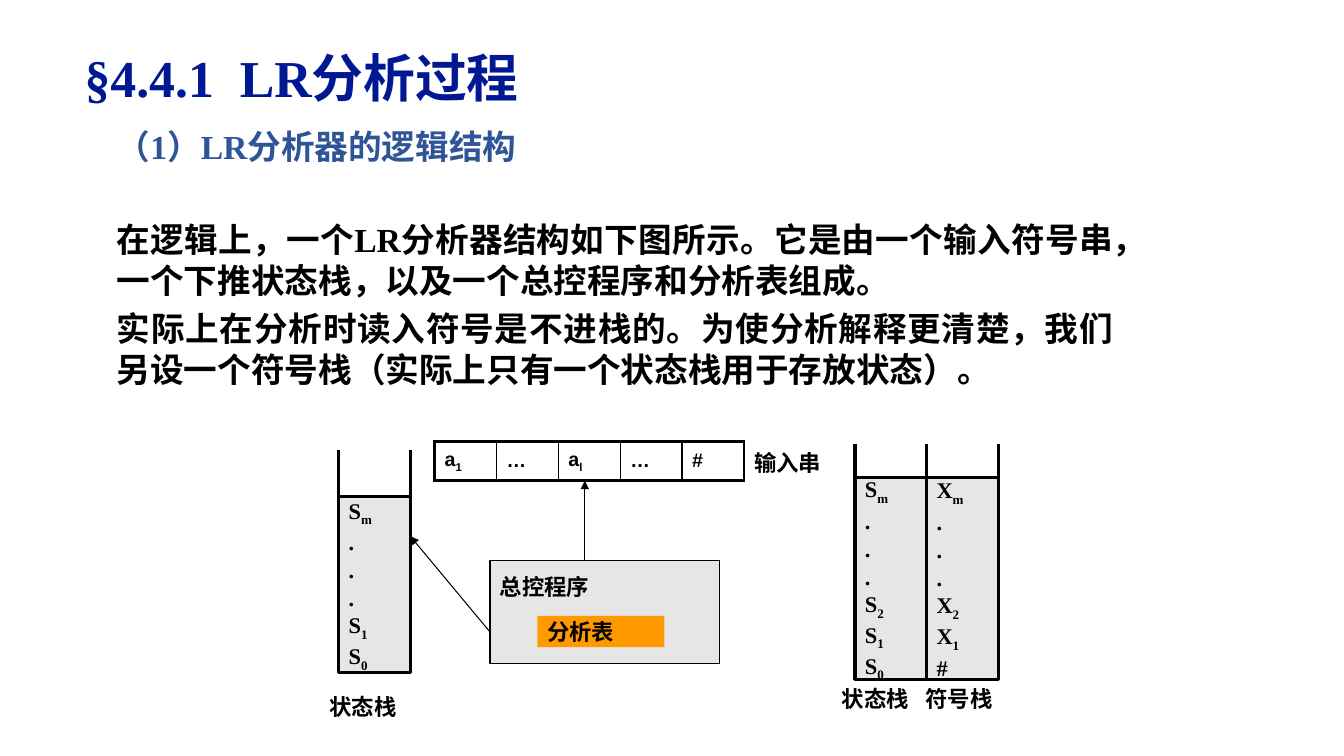
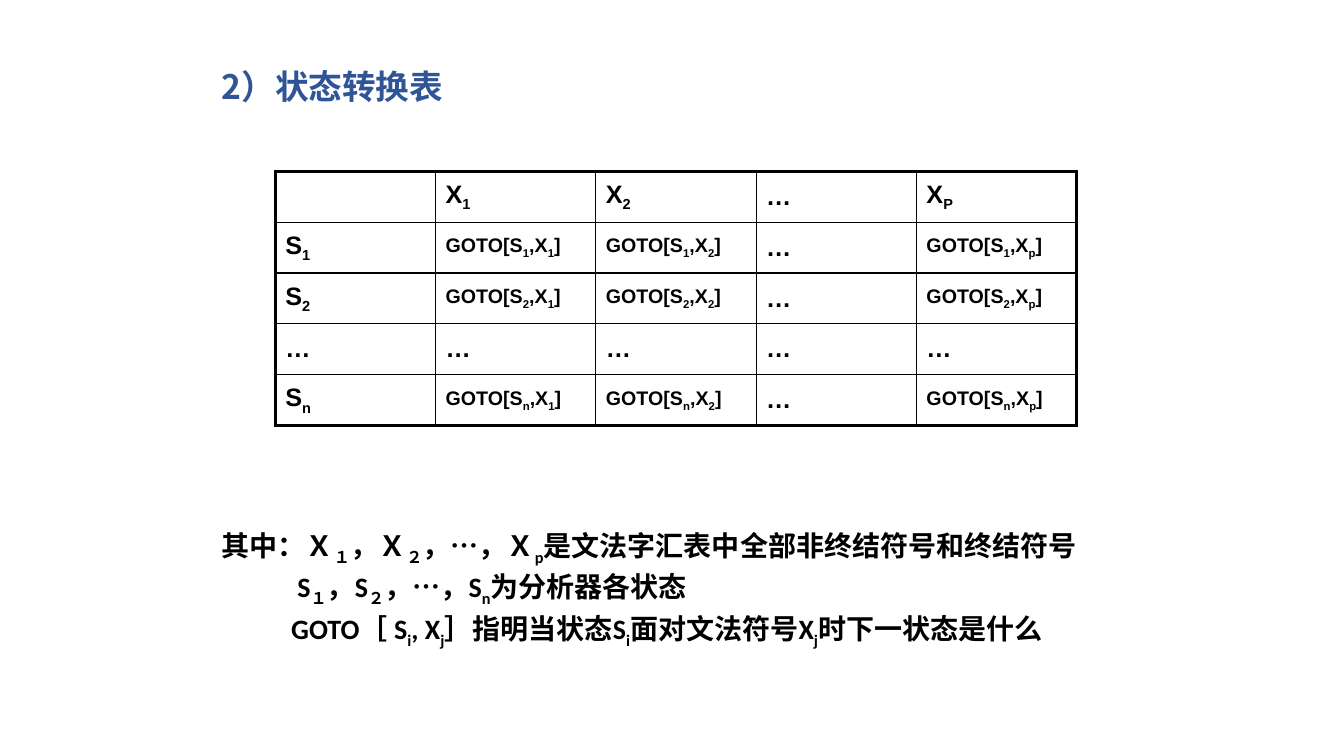
from dataclasses import dataclass

from lxml.etree import SubElement
from pptx import Presentation
from pptx.dml.color import RGBColor
from pptx.enum.shapes import MSO_CONNECTOR, MSO_SHAPE
from pptx.enum.text import MSO_ANCHOR, PP_ALIGN
from pptx.oxml.ns import qn
from pptx.util import Inches, Pt


@dataclass(frozen=True)
class Theme:
    navy: str = "011893"
    blue: str = "2F5597"
    black: str = "000000"
    white: str = "FFFFFF"
    grey: str = "E7E6E6"
    amber: str = "FF9900"
    serif: str = "Times New Roman"
    sans: str = "Arial"
    body: str = "Calibri"
    asian: str = "Noto Sans CJK SC"
    title: int = 37
    head: int = 24
    note: int = 20
    cell: int = 18
    label: int = 16
    small: int = 14
    thick: float = 2.25
    thin: float = 1
    hair: float = 0.75


T = Theme()


# Text: pieces between ~ marks are subscripts
def add_runs(para, text, size, font=T.serif, color=T.black):
    for i, piece in enumerate(text.split("~")):
        if not piece:
            continue
        run = para.add_run()
        run.text = piece
        run.font.size = Pt(size)
        run.font.bold = True
        run.font.color.rgb = RGBColor.from_string(color)
        run.font.name = font
        props = run._r.get_or_add_rPr()
        if font != T.sans:
            SubElement(props, qn("a:ea")).set("typeface", T.asian)
        if i % 2:
            props.set("baseline", "-25000")


def set_pad(frame, side, top):
    frame.margin_left = frame.margin_right = Inches(side)
    frame.margin_top = frame.margin_bottom = Inches(top)


def add_text(slide, box, lines, size, font=T.serif, color=T.black,
             pitch=None, gap=0, align=PP_ALIGN.LEFT):
    shape = slide.shapes.add_textbox(*map(Inches, box))
    frame = shape.text_frame
    frame.word_wrap = True
    for i, line in enumerate(lines):
        para = frame.paragraphs[0] if i == 0 else frame.add_paragraph()
        para.alignment = align
        para.line_spacing = Pt(pitch or size * 1.2)
        para.space_before = Pt(gap if i else 0)
        add_runs(para, line, size, font, color)
    return frame


def add_box(slide, box, fill, width=0):
    shape = slide.shapes.add_shape(MSO_SHAPE.RECTANGLE, *map(Inches, box))
    shape.shadow.inherit = False
    shape.fill.solid()
    shape.fill.fore_color.rgb = RGBColor.from_string(fill)
    if width:
        shape.line.color.rgb = RGBColor.from_string(T.black)
        shape.line.width = Pt(width)
    else:
        shape.line.fill.background()
    return shape.text_frame


def add_line(slide, start, end, width, arrow=False):
    line = slide.shapes.add_connector(
        MSO_CONNECTOR.STRAIGHT, *map(Inches, (*start, *end)))
    line.line.color.rgb = RGBColor.from_string(T.black)
    line.line.width = Pt(width)
    props = line._element.spPr
    if arrow:
        SubElement(props.find(qn("a:ln")), qn("a:tailEnd")).set("type", "triangle")
    SubElement(props, qn("a:effectLst"))


# Tables: thick frame, thin inner rules
def set_edge(props, side, width):
    edge = SubElement(props, qn("a:" + side), w=str(Pt(width)))
    fill = SubElement(edge, qn("a:solidFill"))
    SubElement(fill, qn("a:srgbClr"), val=T.black)


def add_grid(slide, box, rows, size, inner):
    count, wide = len(rows), len(rows[0])
    table = slide.shapes.add_table(count, wide, *map(Inches, box)).table
    table.first_row = table.horz_banding = False
    for r, row in enumerate(rows):
        for c, text in enumerate(row):
            cell = table.cell(r, c)
            cell.vertical_anchor = MSO_ANCHOR.MIDDLE
            props = cell._tc.get_or_add_tcPr()
            outer = (("lnL", c == 0), ("lnR", c == wide - 1),
                     ("lnT", r == 0), ("lnB", r == count - 1))
            for side, rim in outer:
                set_edge(props, side, T.thick if rim else T.thin)
            cell.fill.solid()
            cell.fill.fore_color.rgb = RGBColor.from_string(T.white)
            pt = inner if text.startswith("GOTO") else size
            add_runs(cell.text_frame.paragraphs[0], text, pt, T.sans)


# Open-topped stack
def add_stack(slide, box, rise, lines):
    left, top, width, height = box
    frame = add_box(slide, box, T.grey, T.thick)
    set_pad(frame, 0.1, 0)
    frame.vertical_anchor = MSO_ANCHOR.MIDDLE
    for i, line in enumerate(lines):
        para = frame.paragraphs[0] if i == 0 else frame.add_paragraph()
        para.alignment = PP_ALIGN.LEFT
        para.line_spacing = Pt(22 if "~" in line else 20)
        add_runs(para, line, T.label)
    for x in (left, left + width):
        add_line(slide, (x, top + 0.16), (x, top - rise), T.thick)


# Control program with its table
def add_control(slide, box):
    left, top, width, height = box
    parts = (
        ("总控程序", box, T.grey, T.hair, 0.13, MSO_ANCHOR.TOP),
        ("分析表", (left + 0.47, top + 0.55, 1.26, 0.31), T.amber, 0, 0,
         MSO_ANCHOR.MIDDLE),
    )
    for text, area, fill, width, pad, anchor in parts:
        frame = add_box(slide, area, fill, width)
        set_pad(frame, 0.1, pad)
        frame.vertical_anchor = anchor
        para = frame.paragraphs[0]
        para.alignment = PP_ALIGN.LEFT
        para.line_spacing = Pt(T.label * 1.2)
        add_runs(para, text, T.label)


# Analyser diagram
def add_diagram(slide, left, top):
    dots = [".", ".", "."]
    wide = 0.71
    add_stack(slide, (left, top + 0.55, wide, 1.74), 0.47,
              ["S~m~", *dots, "S~1~", "S~0~"])
    add_grid(slide, (left + 0.95, top, 3.07, 0.39),
             [["a~1~", "…", "a~l~", "…", "#"]], T.small, T.small)
    pair = left + 5.12
    for i, (name, last) in enumerate((("S", "S~0~"), ("X", "#"))):
        lines = [f"{name}~m~", *dots, f"{name}~2~", f"{name}~1~", last]
        add_stack(slide, (pair + i * wide, top + 0.36, wide, 2), 0.34, lines)

    ctrl = (left + 1.5, top + 1.18, 2.28, 1.02)
    add_control(slide, ctrl)
    add_line(slide, (ctrl[0], ctrl[1] + 0.71), (left + wide, top + 0.94),
             T.hair, True)
    add_line(slide, (left + 2.44, ctrl[1]), (left + 2.44, top + 0.39),
             T.hair, True)

    labels = (("状态栈", -0.19, 2.45), ("状态栈", 4.89, 2.37),
              ("符号栈", 5.72, 2.37), ("输入串", 4.02, 0.03))
    for text, x, y in labels:
        add_text(slide, (left + x, top + y, 1.08, 0.37), [text], T.label)


def add_process(slide):
    # Title and heading
    frame = add_text(slide, (0.74, 0.4, 9.9, 0.7), ["§4.4.1\tLR分析过程"],
                     T.title, color=T.navy)
    stops = SubElement(frame.paragraphs[0]._p.get_or_add_pPr(), qn("a:tabLst"))
    SubElement(stops, qn("a:tab"), pos=str(Inches(1.54)), algn="l")
    add_text(slide, (1.06, 1.2, 10.08, 0.5), ["（1）LR分析器的逻辑结构"],
             T.head, color=T.blue)
    # Explanation
    add_text(slide, (1.06, 2.12, 10.08, 1.81), [
        "在逻辑上，一个LR分析器结构如下图所示。它是由一个输入符号串，"
        "一个下推状态栈，以及一个总控程序和分析表组成。",
        "实际上在分析时读入符号是不进栈的。为使分析解释更清楚，"
        "我们另设一个符号栈（实际上只有一个状态栈用于存放状态）。",
    ], T.head, pitch=29.2, gap=4.8, align=PP_ALIGN.JUSTIFY)
    add_diagram(slide, 3.36, 4.38)


def add_states(slide):
    add_text(slide, (2.1, 0.6, 9.08, 0.5), ["2）状态转换表"],
             T.head, T.asian, T.blue)
    # Transition table
    rows = [["", "X~1~", "X~2~", "…", "X~P~"]]
    for s in ("1", "2", "…", "n"):
        if s == "…":
            rows.append(["…"] * 5)
            continue
        goto = [f"GOTO[S~{s}~,X~{x}~]" for x in ("1", "2", "p")]
        rows.append([f"S~{s}~", *goto[:2], "…", goto[2]])
    add_grid(slide, (2.73, 1.7, 7.95, 2.52), rows, T.cell, T.small)
    # Legend
    frame = add_text(slide, (2.1, 5.17, 9.08, 1.35), [
        "其中：Ｘ~１~，Ｘ~２~，…，Ｘ~p~是文法字汇表中全部非终结符号和终结符号",
        "S~１~，S~２~，…，S~n~为分析器各状态",
        "GOTO［ S~i~, X~j~］指明当状态S~i~面对文法符号X~j~时下一状态是什么",
    ], T.note, T.body, pitch=29.3)
    for para, shift in zip(frame.paragraphs, (0, 0.75, 0.69)):
        para._p.get_or_add_pPr().set("marL", str(Inches(shift)))


def main():
    deck = Presentation()
    deck.slide_width, deck.slide_height = Inches(13.33), Inches(7.5)
    for build in (add_process, add_states):
        build(deck.slides.add_slide(deck.slide_layouts[6]))
    deck.save("out.pptx")


if __name__ == "__main__":
    main()
